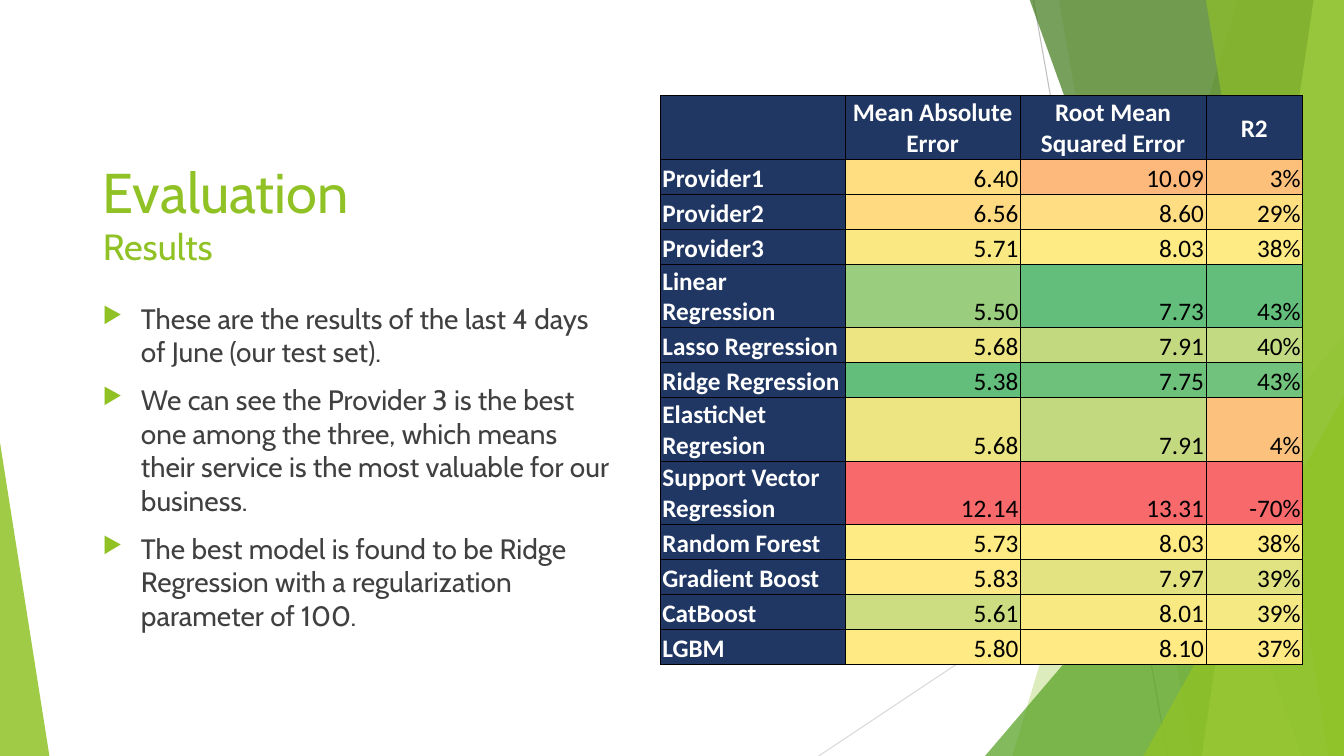
from lxml.etree import SubElement
from pptx import Presentation
from pptx.dml.color import RGBColor
from pptx.enum.shapes import MSO_CONNECTOR, MSO_SHAPE
from pptx.enum.text import MSO_ANCHOR as ANCHOR, MSO_AUTO_SIZE, PP_ALIGN as ALIGN
from pptx.oxml import parse_xml
from pptx.oxml.ns import nsdecls, qn
from pptx.util import Inches, Pt

LIME, NAVY = "90C226", "203764"


def rgb(color):
    return RGBColor.from_string(color)


def paint(facet, color, opacity):
    """Fill a facet with a see-through colour, without outline or shadow."""
    facet.shadow.inherit = False
    facet.line.fill.background()
    facet.fill.solid()
    facet.fill.fore_color.rgb = rgb(color)
    tint = facet.element.spPr.find(qn("a:solidFill")).find(qn("a:srgbClr"))
    SubElement(tint, qn("a:alpha"), val=str(opacity * 1000))


deck = Presentation()
deck.slide_width, deck.slide_height = Inches(13.33), Inches(7.5)
slide = deck.slides.add_slide(deck.slide_layouts[5])
shapes = slide.shapes

# Background: thin rays and overlapping green facets
rays = [(10.25, 0, 11.58, 7.5, "BFBFBF"), (13.33, 4.03, 8.12, 7.5, "D9D9D9")]
for *ends, color in rays:
    ray = shapes.add_connector(MSO_CONNECTOR.STRAIGHT, *map(Inches, ends))
    ray.line.color.rgb = rgb(color)
    ray.line.width = Pt(0.75)
    SubElement(ray.element.spPr, qn("a:effectLst"))

# Bands reach the right edge: (top x, bottom x, colour, opacity)
# Wedges: (left, top, width, height, apex, colour, opacity)
facets = [
    (12.28, 10.04, LIME, 30),
    (10.5, 11.83, LIME, 20),
    (9.77, 3.33, 3.56, 4.17, 1, "54A021", 72),
    (10.21, 12.91, "3F7819", 70),
    (13.03, 11.92, "C0E474", 70),
    (11.96, 13.18, LIME, 65),
    (11.34, 3.93, 1.99, 3.57, 1, LIME, 80),
    (0, 4.39, 0.49, 3.11, 0, LIME, 85),
]
for *geometry, color, opacity in facets:
    if len(geometry) == 2:
        top_x, bottom_x = geometry
        corners = [(13.33, -0.01), (13.33, 7.5), (bottom_x, 7.5)]
        outline = shapes.build_freeform(Inches(top_x), Inches(-0.01))
        outline.add_line_segments([(Inches(x), Inches(y)) for x, y in corners])
        facet = outline.convert_to_shape()
    else:
        *box, apex = geometry
        facet = shapes.add_shape(MSO_SHAPE.ISOSCELES_TRIANGLE, *map(Inches, box))
        facet.adjustments[0] = apex
    paint(facet, color, opacity)

# Title
title = shapes.title
title_box = {"left": 0.92, "top": 0.59, "width": 5.23, "height": 2.12}
for side, length in title_box.items():
    setattr(title, side, Inches(length))
title.text_frame.auto_size = MSO_AUTO_SIZE.NONE
title.text_frame.vertical_anchor = ANCHOR.BOTTOM
heading = title.text_frame.paragraphs[0]
heading.alignment = ALIGN.LEFT
for words, size in [("Evaluation", 40), ("Results", 26)]:
    if heading.runs:
        heading.add_line_break()
    run = heading.add_run()
    run.text = words
    run.font.name, run.font.size = "Cabin", Pt(size)
    run.font.color.rgb = rgb(LIME)

# Findings
findings = [
    "These are the results of the last 4 days of June (our test set).",
    "We can see the Provider 3 is the best one among the three, which means "
    "their service is the most valuable for our business.",
    "The best model is found to be Ridge Regression with a regularization "
    "parameter of 100.",
]
body = shapes.add_textbox(Inches(0.92), Inches(2.94), Inches(5.23), Inches(3.76)).text_frame
body.word_wrap = True
for index, finding in enumerate(findings):
    bullet = body.paragraphs[0] if index == 0 else body.add_paragraph()
    bullet.space_before = Pt(10)
    run = bullet.add_run()
    run.text = finding
    run.font.name, run.font.size = "Cabin", Pt(20)
    run.font.color.rgb = rgb("404040")
    props = bullet._p.get_or_add_pPr()
    props.set("marL", str(Inches(0.38)))
    props.set("indent", str(Inches(-0.38)))
    SubElement(SubElement(props, qn("a:buClr")), qn("a:srgbClr"), val=LIME)
    SubElement(props, qn("a:buSzPct"), val="80000")
    SubElement(props, qn("a:buChar"), char="▶")

# Results table: each score is followed by its heat-map colour
headers = ["", "Mean Absolute Error", "Root Mean Squared Error", "R2"]
scores = [
    ("Provider1", "6.40 FFDE82", "10.09 FDB97B", "3% FCC07B"),
    ("Provider2", "6.56 FFDA81", "8.60 FFDD82", "29% FEE081"),
    ("Provider3", "5.71 FAE983", "8.03 FFEB84", "38% FFEB84"),
    ("Linear Regression", "5.50 9ACD7E", "7.73 63BE7B", "43% 63BE7B"),
    ("Lasso Regression", "5.68 ECE582", "7.91 C3D980", "40% C2DA81"),
    ("Ridge Regression", "5.38 63BE7B", "7.75 6DC17B", "43% 71C27C"),
    ("ElasticNet Regresion", "5.68 ECE582", "7.91 C3D980", "4% FCC17C"),
    ("Support Vector Regression", "12.14 F8696B", "13.31 F8696B", "-70% F8696B"),
    ("Random Forest", "5.73 FFEB84", "8.03 FFEB84", "38% FFEB84"),
    ("Gradient Boost", "5.83 FFE984", "7.97 E4E382", "39% E1E383"),
    ("CatBoost", "5.61 CCDC81", "8.01 F9E983", "39% F5E984"),
    ("LGBM", "5.80 FFEA84", "8.10 FFEA84", "37% FEE983"),
]
rows = [headers, *scores]
table = shapes.add_table(
    len(rows), len(headers), Inches(6.55), Inches(0.95), Inches(6.37), Inches(5.64)
).table
table.first_row = table.horz_banding = False
for column, width in zip(table.columns, [1.83, 1.74, 1.84, 0.96]):
    column.width = Inches(width)

two_line_rows = {0, 4, 7, 8}
tall = 0.63
short = (5.64 - tall * len(two_line_rows)) / (len(rows) - len(two_line_rows))
margins = {"margin_left": 0.02, "margin_right": 0.02, "margin_top": 0.02, "margin_bottom": 0}
for r, row in enumerate(rows):
    table.rows[r].height = Inches(tall if r in two_line_rows else short)
    for c, entry in enumerate(row):
        is_score = r > 0 and c > 0
        words, fill = entry.split() if is_score else (entry, NAVY)
        cell = table.cell(r, c)
        for margin, length in margins.items():
            setattr(cell, margin, Inches(length))
        cell.vertical_anchor = ANCHOR.MIDDLE if r == 0 else ANCHOR.BOTTOM
        cell_props = cell._tc.get_or_add_tcPr()
        for edge in ("lnL", "lnR", "lnT", "lnB"):
            cell_props.append(parse_xml(
                f'<a:{edge} {nsdecls("a")} w="{Pt(0.5)}"><a:solidFill>'
                f'<a:srgbClr val="000000"/></a:solidFill></a:{edge}>'
            ))
        cell.fill.solid()
        cell.fill.fore_color.rgb = rgb(fill)
        cell.text = words
        line = cell.text_frame.paragraphs[0]
        line.alignment = ALIGN.CENTER if r == 0 else ALIGN.RIGHT if c else ALIGN.LEFT
        line.font.name, line.font.size = "Calibri", Pt(18)
        line.font.bold = not is_score
        line.font.color.rgb = rgb("000000" if is_score else "FFFFFF")

deck.save("out.pptx")
